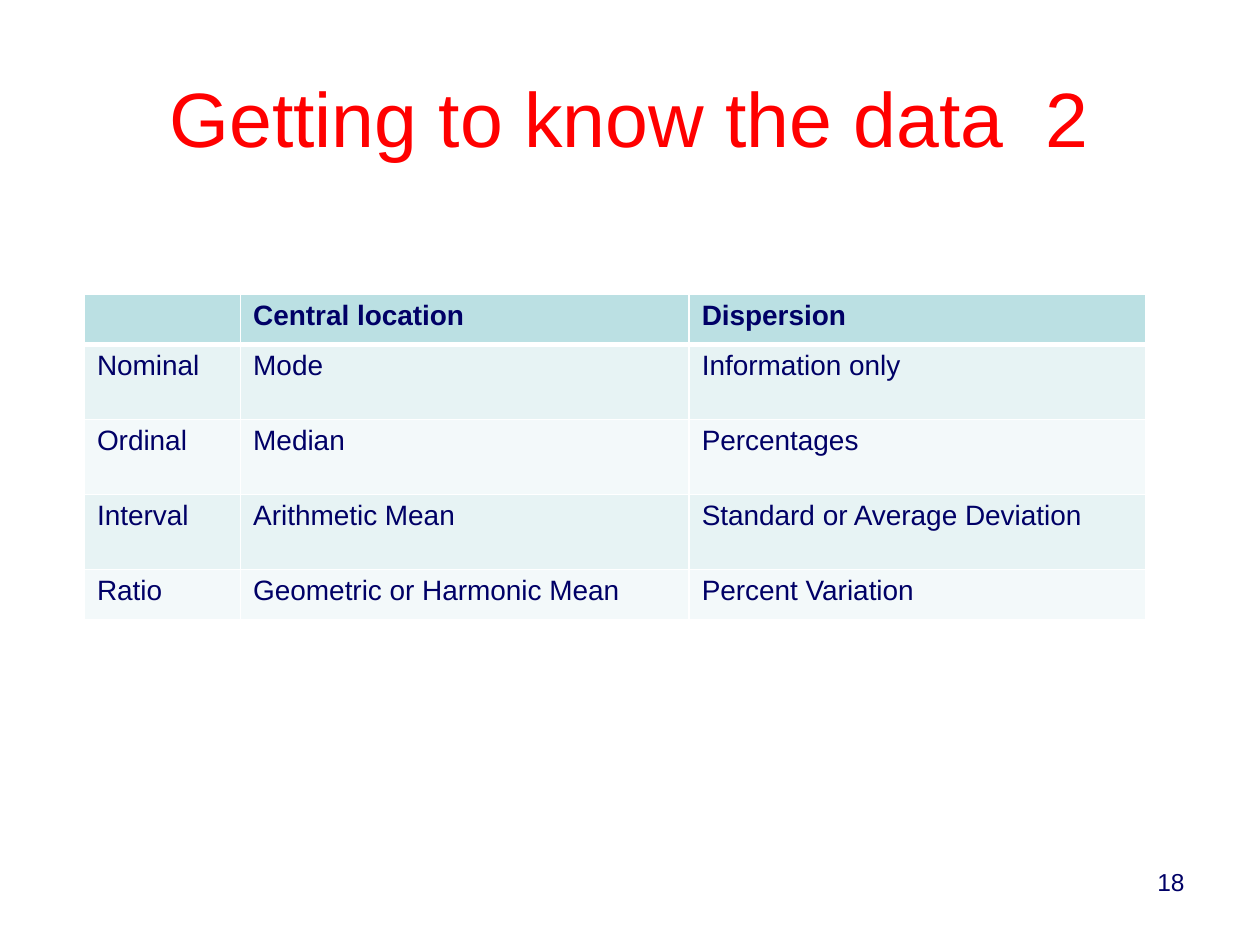
import pptx
import pptx.dml.color
import pptx.enum.text
import pptx.oxml
import pptx.oxml.ns
import pptx.util

COLORS = {
    "title": "FF0000",
    "text": "000066",
    "header": "BBE0E3",
    "odd_row": "E7F3F4",
    "even_row": "F3F9FA",
    "rule": "FFFFFF",
}
FONT = "Arial"
SLIDE_WIDTH = pptx.util.Inches(10)
SLIDE_HEIGHT = pptx.util.Inches(7.5)

MEASURES = [
    ["", "Central location", "Dispersion"],
    ["Nominal", "Mode", "Information only"],
    ["Ordinal", "Median", "Percentages"],
    ["Interval", "Arithmetic Mean", "Standard or Average Deviation"],
    ["Ratio", "Geometric or Harmonic Mean", "Percent Variation"],
]
COLUMN_WEIGHTS = [1.24, 3.56, 3.62]
ROW_WEIGHTS = [2, 3, 3, 3, 2]


def share_box(left, top, width, height):
    """Turn percentages of the slide's size into lengths."""
    return (
        int(SLIDE_WIDTH * left / 100),
        int(SLIDE_HEIGHT * top / 100),
        int(SLIDE_WIDTH * width / 100),
        int(SLIDE_HEIGHT * height / 100),
    )


def rgb(name):
    return pptx.dml.color.RGBColor.from_string(COLORS[name])


def add_run(paragraph, words, size, color, bold=False):
    run = paragraph.add_run()
    run.text = words
    run.font.name = FONT
    run.font.size = pptx.util.Pt(size)
    run.font.bold = bold
    run.font.color.rgb = rgb(color)


def add_line(slide, box, words, size, color, align, anchor):
    """Place one line of text in a box of its own."""
    frame = slide.shapes.add_textbox(*box).text_frame
    frame.word_wrap = True
    frame.vertical_anchor = anchor
    paragraph = frame.paragraphs[0]
    paragraph.alignment = align
    add_run(paragraph, words, size, color)


def set_borders(cell, bottom_width):
    properties = cell._tc.get_or_add_tcPr()
    widths = {"lnL": 1, "lnR": 1, "lnT": 1, "lnB": bottom_width}
    for position, (side, width) in enumerate(widths.items()):
        border = pptx.oxml.parse_xml(
            f'<a:{side} {pptx.oxml.ns.nsdecls("a")} w="{pptx.util.Pt(width)}">'
            f'<a:solidFill><a:srgbClr val="{COLORS["rule"]}"/></a:solidFill>'
            f"</a:{side}>"
        )
        properties.insert(position, border)


def add_measures(slide, box):
    """Fill the box with the table of measures for each scale."""
    width, height = box[2:]
    table = slide.shapes.add_table(len(ROW_WEIGHTS), len(COLUMN_WEIGHTS), *box).table
    for column, weight in zip(table.columns, COLUMN_WEIGHTS):
        column.width = int(width * weight / sum(COLUMN_WEIGHTS))
    for row, weight in zip(table.rows, ROW_WEIGHTS):
        row.height = int(height * weight / sum(ROW_WEIGHTS))

    for r, entries in enumerate(MEASURES):
        is_header = r == 0
        band = "header" if is_header else "odd_row" if r % 2 else "even_row"
        for c, entry in enumerate(entries):
            cell = table.cell(r, c)
            cell.fill.solid()
            cell.fill.fore_color.rgb = rgb(band)
            set_borders(cell, 3 if r < 1 else 1)
            if entry:
                add_run(cell.text_frame.paragraphs[0], entry, 16, "text", is_header)
        if not is_header:
            continue
        for cell in table.rows[1].cells:
            cell.margin_top = pptx.util.Inches(0.05)


def main():
    deck = pptx.Presentation()
    deck.slide_width = SLIDE_WIDTH
    deck.slide_height = SLIDE_HEIGHT
    slide = deck.slides.add_slide(deck.slide_layouts[6])
    align = pptx.enum.text.PP_ALIGN
    anchor = pptx.enum.text.MSO_ANCHOR

    add_line(slide, share_box(71.7, 91.1, 23.3, 6.9), "18", 14, "text",
             align.RIGHT, anchor.TOP)
    add_line(slide, share_box(5, 4, 90, 16.7), "Getting to know the data  2", 44,
             "title", align.CENTER, anchor.MIDDLE)
    add_measures(slide, share_box(6.7, 31.1, 84.2, 34.4))
    deck.save("out.pptx")


if __name__ == "__main__":
    main()
